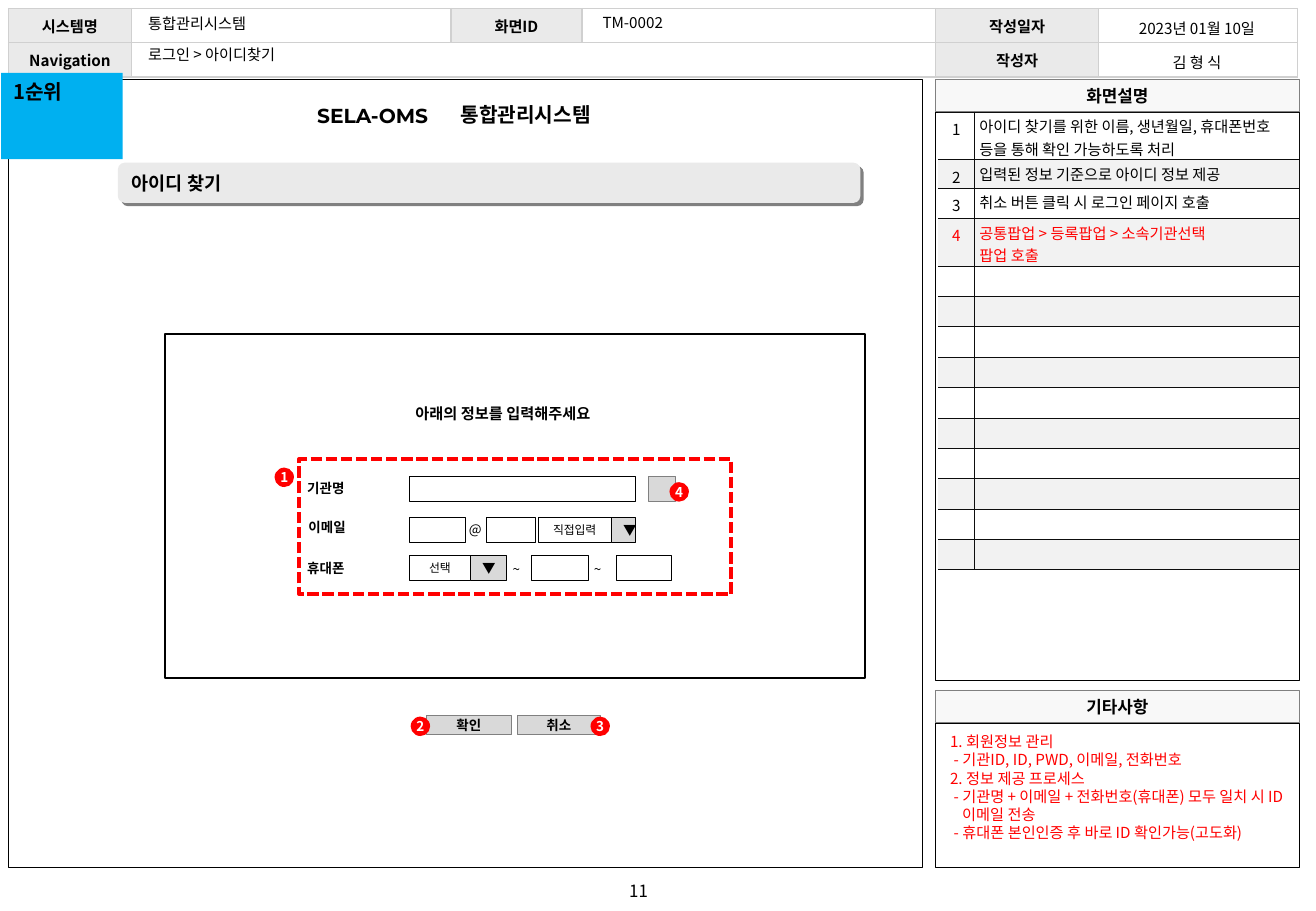
import pptx
import pptx.util
import pptx.dml.color
import pptx.enum.dml
import pptx.enum.shapes
import pptx.enum.text
import pptx.oxml.ns
import lxml.etree

Inches = pptx.util.Inches
Pt = pptx.util.Pt
RGBColor = pptx.dml.color.RGBColor
Kind = pptx.enum.shapes.MSO_SHAPE
Align = pptx.enum.text.PP_ALIGN
Anchor = pptx.enum.text.MSO_ANCHOR
qn = pptx.oxml.ns.qn
sub = lxml.etree.SubElement

BLACK = RGBColor(0, 0, 0)
INK = RGBColor(0x0D, 0x0D, 0x0D)
WHITE = RGBColor(255, 255, 255)
RED = RGBColor(255, 0, 0)
BLUE = RGBColor(0, 0xB0, 0xF0)
GRAY = RGBColor(0x80, 0x80, 0x80)
RULE = RGBColor(0xD0, 0xD0, 0xD0)
PANEL = RGBColor(0xF8, 0xF8, 0xF8)
HEAD = RGBColor(0xEA, 0xEA, 0xEA)
BAND = RGBColor(0xF2, 0xF2, 0xF2)
BUTTON = RGBColor(0xD9, 0xD9, 0xD9)
FONT = "Noto Sans CJK KR"
PLAIN = "{2D5ABB26-0587-4C30-8999-92F81FD0307C}"

deck = pptx.Presentation()
deck.slide_width = Inches(10.83)
deck.slide_height = Inches(7.5)
slide = deck.slides.add_slide(deck.slide_layouts[6])
shapes = slide.shapes


def write(frame, text, size, color=BLACK, bold=False, align=Align.LEFT, font=FONT, hang=False):
    for i, part in enumerate(text.split("\n")):
        para = frame.add_paragraph() if i else frame.paragraphs[0]
        para.alignment = align
        if hang:
            props = para._p.get_or_add_pPr()
            props.set("marL", str(Inches(0.1)))
            props.set("indent", str(Inches(-0.07 if part.startswith("-") else -0.1)))
        if not part:
            sub(para._p, qn("a:endParaRPr"), sz=str(size * 100))
            continue
        run = para.add_run()
        run.text = part
        run.font.size = Pt(size)
        run.font.bold = bold
        run.font.color.rgb = color
        run.font.name = font
        sub(run._r.get_or_add_rPr(), qn("a:ea"), typeface=font)


def box(place, fill=None, line=None, width=0.5, kind=Kind.RECTANGLE):
    shape = shapes.add_shape(kind, *map(Inches, place))
    shape.shadow.inherit = False
    if fill is None:
        shape.fill.background()
    else:
        shape.fill.solid()
        shape.fill.fore_color.rgb = fill
    if line is None:
        shape.line.fill.background()
    else:
        shape.line.color.rgb = line
        shape.line.width = Pt(width)
    shape.text_frame.vertical_anchor = Anchor.MIDDLE
    return shape


box((0.07, 0.65, 7.52, 6.49), None, BLACK, 0.25)
for title, top, height in (("화면설명", 0.65, 4.95), ("기타사항", 5.68, 1.46)):
    box((7.7, top + 0.27, 2.99, height - 0.27), None, BLACK, 0.25)
    bar = box((7.7, top, 2.99, 0.27), PANEL, GRAY, 0.25)
    write(bar.text_frame, title, 10, bold=True, align=Align.CENTER)

notes = [
    ("1", "아이디 찾기를 위한 이름, 생년월일, 휴대폰번호 등을 통해 확인 가능하도록 처리"),
    ("2", "입력된 정보 기준으로 아이디 정보 제공"),
    ("3", "취소 버튼 클릭 시 로그인 페이지 호출"),
    ("4", "공통팝업 > 등록팝업 > 소속기관선택\n팝업 호출"),
] + [("", "")] * 10
tables = (
    ("head", (0.07, 0.07), (1.01, 2.63, 1.08, 2.91, 1.34, 1.64), (0.25, 0.25),
     [("시스템명", "", "화면ID", "", "작성일자", ""), ("Navigation", "", "", "", "작성자", "")]),
    ("date", (9.03, 0.09), (1.64,), (0.25, 0.25), [("2023년 01월 10일",), ("김 형 식",)]),
    ("notes", (7.72, 0.92), (0.3, 2.67), [0.39, 0.23, 0.25, 0.39] + [0.25] * 10, notes),
)
for name, spot, cols, rows, texts in tables:
    area = (*spot, sum(cols), sum(rows))
    grid = shapes.add_table(len(rows), len(cols), *map(Inches, area)).table
    grid._tbl.tblPr.find(qn("a:tableStyleId")).text = PLAIN
    grid.first_row = grid.horz_banding = False
    for c, wide in enumerate(cols):
        grid.columns[c].width = Inches(wide)
    for r, high in enumerate(rows):
        grid.rows[r].height = Inches(high)
        for c, text in enumerate(texts[r]):
            cell = grid.cell(r, c)
            fill, color, sides = None, BLACK, ""
            if name == "head":
                sides, tone, thick = "LRTB", RULE, 1
                fill = HEAD if text else None
            if name == "notes":
                sides, tone, thick = ("RTB", "LRTB")[c], INK, 0.25
                fill = BAND if r % 2 else None
                color = RED if r == 3 else BLACK
                cell.margin_left = cell.margin_right = Inches(0.04 * c)
                cell.margin_top = Inches((0.05, 0.03)[c])
                cell.margin_bottom = 0
            else:
                cell.vertical_anchor = Anchor.MIDDLE
            for side in sides:
                edge = sub(cell._tc.get_or_add_tcPr(), qn("a:ln" + side), w=str(Pt(thick)))
                sub(sub(edge, qn("a:solidFill")), qn("a:srgbClr"), val=str(tone))
            if fill is None:
                cell.fill.background()
            else:
                cell.fill.solid()
                cell.fill.fore_color.rgb = fill
            side = Align.LEFT if name == "notes" and c else Align.CENTER
            write(cell.text_frame, text, 9, color, name == "head", side)
    if name == "head":
        grid.cell(1, 1).merge(grid.cell(1, 3))

box((1.36, 2.75, 5.76, 2.83), None, BLACK, 1)

fields = (
    ((3.37, 3.92, 1.86), WHITE, BLACK, "", 7),
    ((5.34, 3.92, 0.22), BUTTON, GRAY, "", 7),
    ((3.37, 4.26, 0.46), None, BLACK, "", 7),
    ((4, 4.26, 0.41), None, BLACK, "", 7),
    ((4.43, 4.26, 0.6), WHITE, BLACK, "직접입력", 7),
    ((5.03, 4.26, 0.2), BUTTON, BLACK, "▼", 8),
    ((3.37, 4.57, 0.5), WHITE, BLACK, "선택", 7),
    ((3.87, 4.57, 0.3), BUTTON, BLACK, "▼", 8),
    ((4.37, 4.57, 0.47), WHITE, BLACK, "", 7),
    ((5.07, 4.57, 0.46), WHITE, BLACK, "", 7),
)
for place, fill, line, text, size in fields:
    field = box((*place, 0.21), fill, line)
    if text:
        write(field.text_frame, text, size, align=Align.CENTER, hang=True)

frame = box((2.46, 3.78, 3.56, 1.11), None, RED, 2.25)
frame.line.dash_style = pptx.enum.dml.MSO_LINE.SQUARE_DOT

for text, left, wide in (("확인", 3.51, 0.7), ("취소", 4.26, 0.68)):
    button = box((left, 5.89, wide, 0.16), BUTTON, GRAY)
    write(button.text_frame, text, 8, bold=True, align=Align.CENTER)

title = box((0.97, 1.34, 6.11, 0.33), HEAD, kind=Kind.ROUNDED_RECTANGLE)
write(title.text_frame, "아이디 찾기", 11, bold=True, hang=True)
effect = title._element.spPr.find(qn("a:effectLst"))
shade = sub(effect, qn("a:outerShdw"), dist=str(Pt(2.8)), dir="2700000", algn="tl", rotWithShape="0")
sub(shade, qn("a:srgbClr"), val=str(GRAY))

labels = (
    ("로그인 > 아이디찾기", (1.12, 0.32, 1.39, 0.25), 9, False),
    ("TM-0002", (4.86, 0.06, 0.72, 0.25), 9, False),
    ("통합관리시스템", (1.12, 0.07, 1.09, 0.25), 9, False),
    ("아래의 정보를 입력해주세요", (3.32, 3.28, 2.11, 0.25), 9, True),
    ("기관명", (2.43, 3.9, 0.94, 0.24), 8, True),
    ("이메일", (2.44, 4.22, 0.94, 0.24), 8, True),
    ("휴대폰", (2.43, 4.56, 0.94, 0.24), 8, True),
    ("@", (3.76, 4.24, 0.31, 0.24), 8, False),
    ("~", (4.12, 4.54, 0.36, 0.25), 8, False),
    ("~", (4.79, 4.54, 0.36, 0.25), 8, False),
    ("통합관리시스템", (3.75, 0.79, 1.65, 0.3), 12, True),
    ("SELA-OMS", (2.57, 0.8, 1.21, 0.3), 12, True),
    ("11", (4.9, 7.2, 0.71, 0.27), 10, False),
)
for text, place, size, bold in labels:
    label = shapes.add_textbox(*map(Inches, place)).text_frame
    label.word_wrap = size != 9 or bold
    if size == 12:
        label.margin_left = label.margin_right = Inches(0.04)
    font = "Montserrat" if text == "SELA-OMS" else FONT
    align = Align.CENTER if text == "11" else Align.LEFT
    write(label, text, size, bold=bold, align=align, font=font)
    if text == "~":
        label.paragraphs[0].line_spacing = 1.25

memo = shapes.add_textbox(Inches(7.72), Inches(5.98), Inches(2.95), Inches(1.01)).text_frame
memo.word_wrap = True
write(memo, "1. 회원정보 관리\n- 기관ID, ID, PWD, 이메일, 전화번호\n2. 정보 제공 프로세스\n"
      "- 기관명 + 이메일 + 전화번호(휴대폰) 모두 일치 시 ID 이메일 전송\n"
      "- 휴대폰 본인인증 후 바로 ID 확인가능(고도화)", 9, RED, hang=True)

for num, spot in enumerate(((2.26, 3.85), (3.38, 5.9), (4.86, 5.9), (5.51, 3.97)), 1):
    mark = box((*spot, 0.16, 0.16), RED, kind=Kind.OVAL)
    mark.text_frame.word_wrap = False
    write(mark.text_frame, str(num), 8, WHITE, True, Align.CENTER)

rank = box((0.01, 0.6, 1, 0.71), BLUE)
rank.text_frame.vertical_anchor = Anchor.TOP
write(rank.text_frame, "1순위", 12, bold=True)

deck.save("out.pptx")
